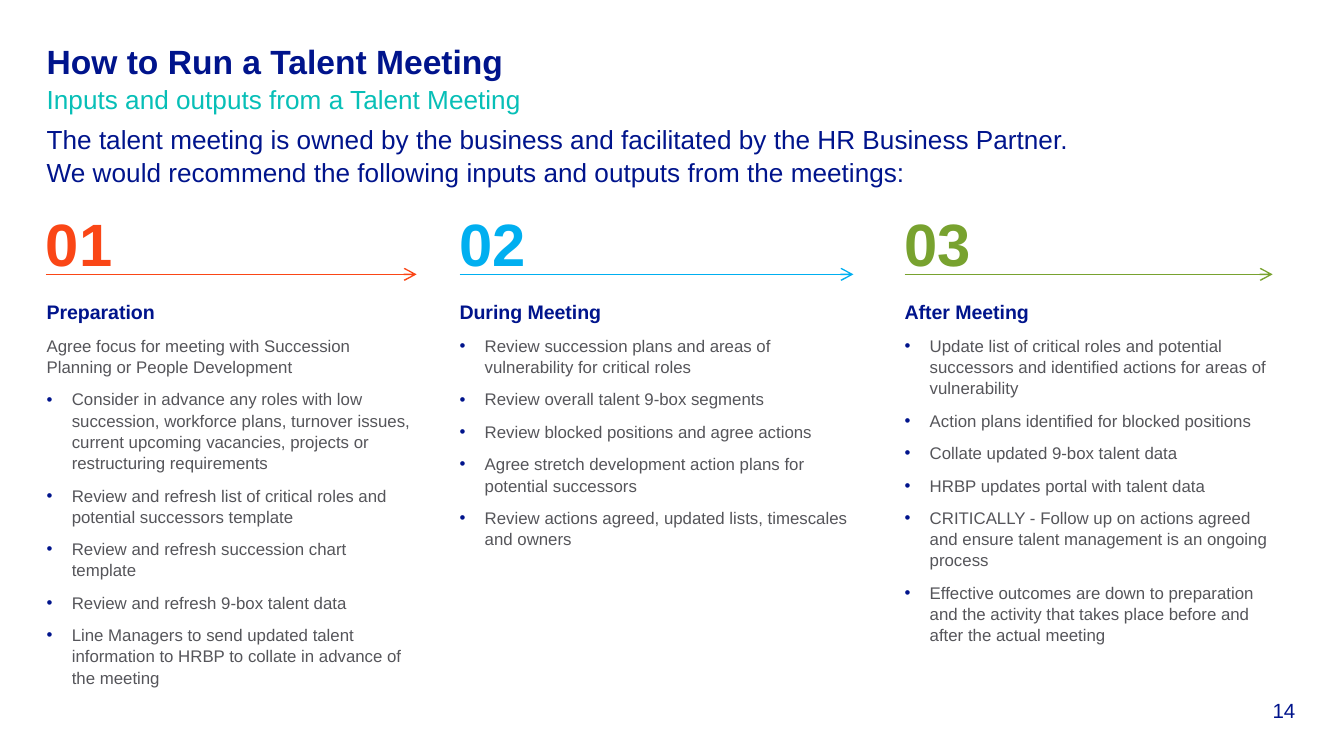
from lxml.etree import SubElement as Sub
from pptx import Presentation
from pptx.dml.color import RGBColor as Rgb
from pptx.enum.shapes import MSO_CONNECTOR as Conn
from pptx.enum.text import MSO_ANCHOR as Anchor, PP_ALIGN as Align
from pptx.oxml.ns import qn
from pptx.util import Pt

NAVY, TEAL, GREY = "00148C", "07BFB7", "55555A"
INDENT = 13.5

# number, colour, left, text width, arrow end, heading, lead text, bullets
STEPS = [
    ("01", "FA4616", 25, 197.3, 223.2, "Preparation",
     "Agree focus for meeting with Succession Planning or People Development",
     ["Consider in advance any roles with low succession, workforce plans, "
      "turnover issues, current upcoming vacancies, projects or "
      "restructuring requirements",
      "Review and refresh list of critical roles and potential successors template",
      "Review and refresh succession chart template",
      "Review and refresh 9-box talent data",
      "Line Managers to send updated talent information to HRBP to collate "
      "in advance of the meeting"]),
    ("02", "00AFF0", 246.2, 214.6, 457.2, "During Meeting", None,
     ["Review succession plans and areas of vulnerability for critical roles",
      "Review overall talent 9-box segments",
      "Review blocked positions and agree actions",
      "Agree stretch development action plans for potential successors",
      "Review actions agreed, updated lists, timescales and owners"]),
    ("03", "78A22F", 484.6, 197.3, 681.8, "After Meeting", None,
     ["Update list of critical roles and potential successors and identified "
      "actions for areas of vulnerability",
      "Action plans identified for blocked positions",
      "Collate updated 9-box talent data",
      "HRBP updates portal with talent data",
      "CRITICALLY - Follow up on actions agreed and ensure talent management "
      "is an ongoing process",
      "Effective outcomes are down to preparation and the activity that takes "
      "place before and after the actual meeting"]),
]


def rgb(code):
    return Rgb.from_string(code)


def add_box(slide, left, top, width, height, anchor=Anchor.TOP):
    frame = slide.shapes.add_textbox(Pt(left), Pt(top), Pt(width), Pt(height)).text_frame
    frame.margin_left = frame.margin_right = frame.margin_top = frame.margin_bottom = 0
    frame.word_wrap = True
    frame.vertical_anchor = anchor
    return frame


def add_bullet(para):
    props = para._p.get_or_add_pPr()
    props.set("marL", str(Pt(INDENT)))
    props.set("indent", str(-Pt(INDENT)))
    Sub(Sub(props, qn("a:buClr")), qn("a:srgbClr"), val=NAVY)
    Sub(props, qn("a:buFont"), typeface="Arial")
    Sub(props, qn("a:buChar"), char="•")


def add_text(frame, text, size=9, color=NAVY, bold=False, after=0,
             align=Align.LEFT, bullet=False):
    first = frame.paragraphs[0]
    para = frame.add_paragraph() if first.runs else first
    para.alignment = align
    para.line_spacing = 1.05
    para.space_after = Pt(after)
    if bullet:
        add_bullet(para)
    run = para.add_run()
    run.text = text
    font = run.font
    font.name, font.size, font.bold = "Arial", Pt(size), bold
    font.color.rgb = rgb(color)


def add_arrow(slide, left, right, top, color):
    arrow = slide.shapes.add_connector(Conn.STRAIGHT, Pt(left), Pt(top), Pt(right), Pt(top))
    arrow.line.color.rgb = rgb(color)
    arrow.line.width = Pt(0.75)
    Sub(arrow.line._get_or_add_ln(), qn("a:tailEnd"), type="arrow")
    Sub(arrow._element.spPr, qn("a:effectLst"))


def add_step(slide, num, color, left, width, end, head, lead, items):
    # Number above its arrow
    start = 24.6 if num == "01" else left
    add_text(add_box(slide, start, 109, 122, 38.8), num, size=32, color=color, bold=True)
    add_arrow(slide, start, end, 147, color)

    # Heading and points
    frame = add_box(slide, left, 160, width, 191)
    add_text(frame, head, size=10.5, bold=True, after=6)
    if lead:
        add_text(frame, lead, color=GREY, after=6)
    for item in items:
        add_text(frame, item, color=GREY, after=6, bullet=True)


def main():
    deck = Presentation()
    deck.slide_width, deck.slide_height = Pt(720), Pt(405)
    slide = deck.slides.add_slide(deck.slide_layouts[6])

    # Title and subtitle
    title = add_box(slide, 25, 21, 669, 35)
    add_text(title, "How to Run a Talent Meeting", size=18, bold=True)
    add_text(title, "Inputs and outputs from a Talent Meeting", size=14, color=TEAL)

    # Introduction
    intro = add_box(slide, 25, 65.5, 566, 34)
    add_text(intro, "The talent meeting is owned by the business and facilitated by "
             "the HR Business Partner. We would recommend the following inputs and "
             "outputs from the meetings:", size=14)

    # Three steps
    for step in STEPS:
        add_step(slide, *step)

    # Page number
    page = add_box(slide, 652, 373, 42, 14, Anchor.BOTTOM)
    add_text(page, "14", size=11, align=Align.RIGHT)

    deck.save("out.pptx")


if __name__ == "__main__":
    main()
